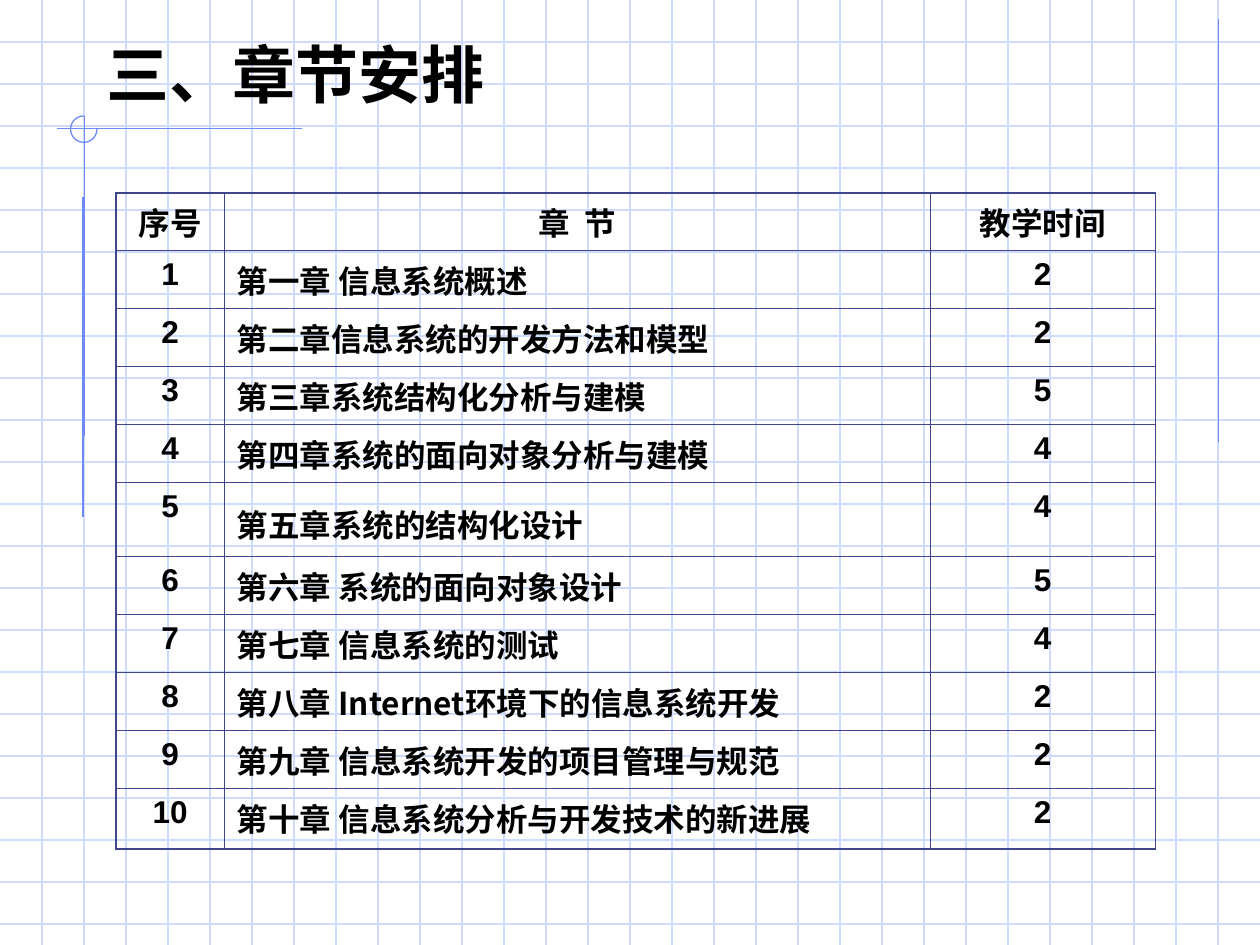
from dataclasses import dataclass

from lxml import etree
from pptx import Presentation
from pptx.dml.color import RGBColor
from pptx.enum.shapes import MSO_CONNECTOR, MSO_SHAPE
from pptx.enum.text import MSO_ANCHOR, PP_ALIGN
from pptx.oxml.ns import qn
from pptx.util import Inches, Pt

STRAIGHT = MSO_CONNECTOR.STRAIGHT
ARC = MSO_SHAPE.ARC
MIDDLE = MSO_ANCHOR.MIDDLE
LEFT, CENTER = PP_ALIGN.LEFT, PP_ALIGN.CENTER

WIDTH, HEIGHT = 10, 7.5
COLUMN_WIDTHS = (0.86, 5.6, 1.79)
HEADER = ("序号", "章  节", "教学时间")
CHAPTERS = (
    ("第一章 信息系统概述", 2),
    ("第二章信息系统的开发方法和模型", 2),
    ("第三章系统结构化分析与建模", 5),
    ("第四章系统的面向对象分析与建模", 4),
    ("第五章系统的结构化设计", 4),
    ("第六章 系统的面向对象设计", 5),
    ("第七章 信息系统的测试", 4),
    ("第八章 Internet环境下的信息系统开发", 2),
    ("第九章 信息系统开发的项目管理与规范", 2),
    ("第十章 信息系统分析与开发技术的新进展", 2),
)
TALL_ROW = 5


@dataclass(frozen=True)
class Theme:
    """Colours, fonts, type sizes and line widths of the slide."""

    text: str = "000000"
    grid: str = "CFDBFD"
    accent: str = "6F89F7"
    border: str = "40458C"
    latin: str = "Arial"
    chinese: str = "Noto Sans CJK SC"
    title_size: int = 36
    body_size: int = 18
    spacer_size: int = 24
    line_width: float = 0.75
    inner_border: float = 0.45
    outer_border: float = 1.08


def add_text(paragraph, text, *, size, color, font, east_asian, align=LEFT):
    """Add a bold run of text to a paragraph."""
    paragraph.alignment = align
    run = paragraph.add_run()
    run.text = text
    run.font.size = Pt(size)
    run.font.bold = True
    run.font.color.rgb = RGBColor.from_string(color)
    run.font.name = font
    properties = run.font._element
    etree.SubElement(properties, qn("a:ea"), typeface=east_asian)


class SlideBuilder:
    """Hold the theme and the current slide, and draw elements on it."""

    def __init__(self, slide, theme):
        """Keep the slide and its theme."""
        self.slide = slide
        self.theme = theme

    def themed_text(self, paragraph, text, size, font=None, align=LEFT):
        """Add text in the theme's colour and fonts."""
        add_text(paragraph, text, size=size, color=self.theme.text,
                 font=font or self.theme.latin,
                 east_asian=self.theme.chinese, align=align)

    def line(self, start, end, color):
        """Draw a straight line between two points."""
        connector = self.slide.shapes.add_connector(
            STRAIGHT, *(Inches(value) for value in (*start, *end)))
        connector.line.color.rgb = RGBColor.from_string(color)
        connector.line.width = Pt(self.theme.line_width)
        etree.SubElement(connector._element.spPr, qn("a:effectLst"))

    def grid(self, step):
        """Draw the background grid at equal steps."""
        for index in range(1, int(HEIGHT / step) + 1):
            self.line((0, index * step), (WIDTH, index * step), self.theme.grid)
        for index in range(1, round(WIDTH / step)):
            self.line((index * step, 0), (index * step, HEIGHT), self.theme.grid)

    def three_quarter_circle(self, left, top, diameter):
        """Draw an open arc running from the right, below and up to the top."""
        shape = self.slide.shapes.add_shape(
            ARC, Inches(left), Inches(top), Inches(diameter), Inches(diameter))
        shape.adjustments[0] = 0
        shape.adjustments[1] = 162
        shape.shadow.inherit = False
        shape.fill.background()
        shape.line.color.rgb = RGBColor.from_string(self.theme.accent)
        shape.line.width = Pt(self.theme.line_width)

    def title(self, text, left, top, width, height):
        """Add the slide title."""
        shape = self.slide.shapes.add_textbox(
            Inches(left), Inches(top), Inches(width), Inches(height))
        frame = shape.text_frame
        frame.word_wrap = True
        frame.vertical_anchor = MIDDLE
        self.themed_text(frame.paragraphs[0], text, self.theme.title_size)

    def borders(self, cell, outer_sides):
        """Give a cell its four borders, heavier on the outer sides."""
        properties = cell._tc.get_or_add_tcPr()
        for side in "LRTB":
            width = (self.theme.outer_border if side in outer_sides
                     else self.theme.inner_border)
            border = etree.SubElement(properties, qn(f"a:ln{side}"), w=str(Pt(width)))
            fill = etree.SubElement(border, qn("a:solidFill"))
            etree.SubElement(fill, qn("a:srgbClr"), val=self.theme.border)

    def table(self, rows, left, top, column_widths, row_heights):
        """Add the table of chapters."""
        table = self.slide.shapes.add_table(
            len(rows), len(column_widths), Inches(left), Inches(top),
            Inches(sum(column_widths)), Inches(sum(row_heights))).table
        table.first_row = table.horz_banding = False
        for column, width in zip(table.columns, column_widths):
            column.width = Inches(width)
        for row, height in zip(table.rows, row_heights):
            row.height = Inches(height)
        last_row, last_column = len(rows) - 1, len(column_widths) - 1
        for row_index, values in enumerate(rows):
            for column_index, value in enumerate(values):
                cell = table.cell(row_index, column_index)
                edges = {"L": column_index == 0, "R": column_index == last_column,
                         "T": row_index == 0, "B": row_index == last_row}
                self.borders(cell, [side for side, outer in edges.items() if outer])
                cell.fill.background()
                is_chapter = row_index > 0 and column_index == 1
                paragraph = cell.text_frame.paragraphs[0]
                self.themed_text(paragraph, str(value), self.theme.body_size,
                                 font=self.theme.chinese if is_chapter else None,
                                 align=LEFT if is_chapter else CENTER)
                if is_chapter and row_index == TALL_ROW:
                    self.themed_text(paragraph, " ", self.theme.spacer_size)


def main():
    """Build the chapter schedule slide and save it."""
    presentation = Presentation()
    presentation.slide_width = Inches(WIDTH)
    presentation.slide_height = Inches(HEIGHT)
    slide = presentation.slides.add_slide(presentation.slide_layouts[6])
    theme = Theme()
    builder = SlideBuilder(slide, theme)

    builder.grid(1 / 3)
    for start, end in (
        ((9.67, 0.15), (9.67, 3.51)),
        ((2.4, 1.02), (0.45, 1.02)),
        ((0.67, 0.92), (0.67, 3.46)),
        ((0.66, 1.56), (0.66, 4.1)),
    ):
        builder.line(start, end, theme.accent)
    builder.three_quarter_circle(0.56, 0.92, 0.21)
    builder.title("三、章节安排", 0.75, 0.25, 5, 0.67)

    rows = [HEADER] + [(number, chapter, hours)
                       for number, (chapter, hours) in enumerate(CHAPTERS, 1)]
    row_heights = [0.46] * len(rows)
    row_heights[TALL_ROW] = 0.59
    row_heights[-1] = 0.48
    builder.table(rows, 0.92, 1.53, COLUMN_WIDTHS, row_heights)
    presentation.save("out.pptx")


if __name__ == "__main__":
    main()
